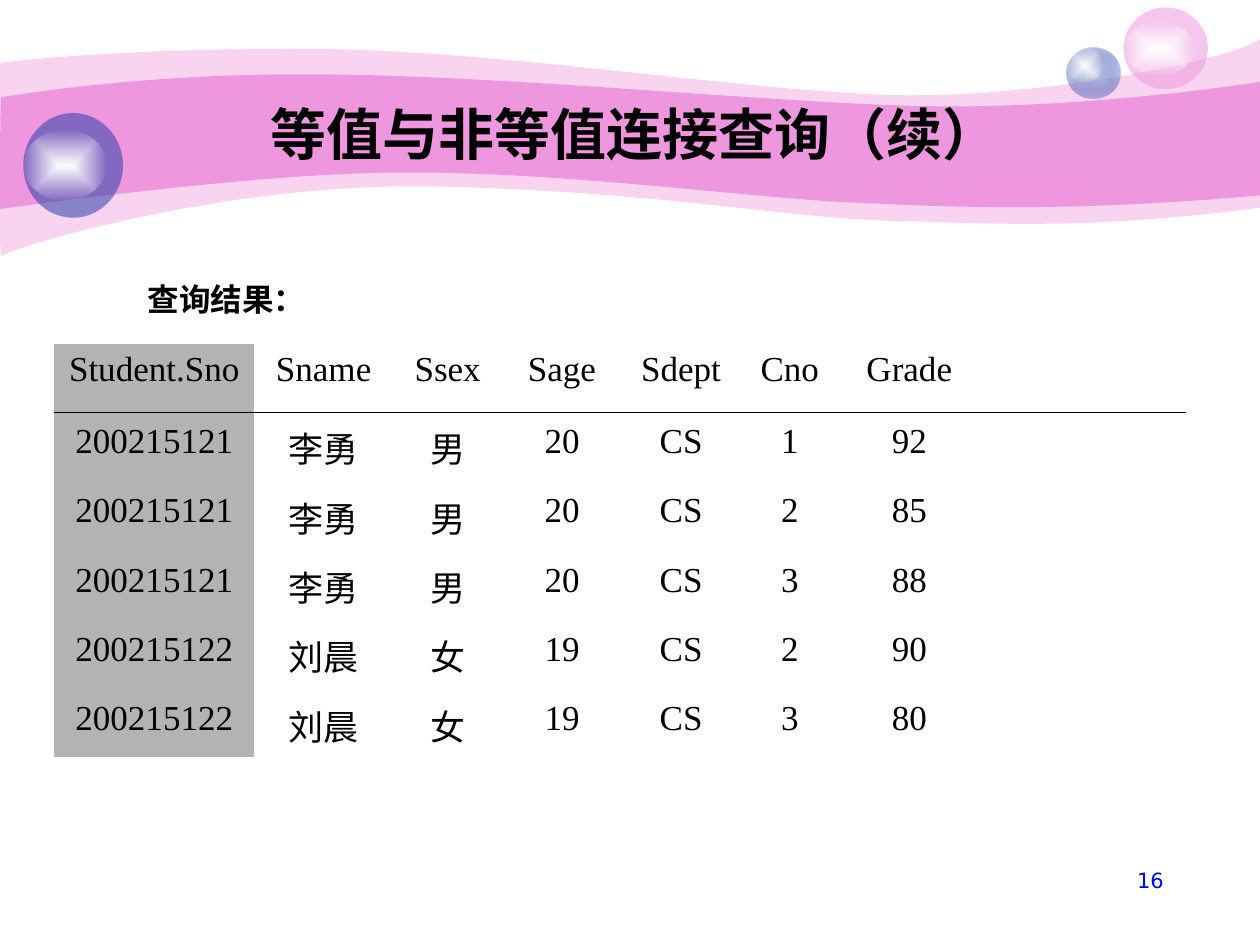
from dataclasses import dataclass

from lxml import etree
from pptx import Presentation
from pptx import util as u
from pptx.dml.color import RGBColor
from pptx.enum import shapes, text
from pptx.oxml import ns


@dataclass(frozen=True)
class Theme:
    pink: str = "EF97DE"
    blue: str = "233DA9"
    pale_blue: str = "C7CEE9"
    white: str = "FFFFFF"
    black: str = "000000"
    grey: str = "B3B3B3"
    number: str = "0000FF"
    title_size: int = 32
    table_size: int = 20
    label_size: int = 18
    number_size: int = 12
    title_font: str = "Arial"
    body_font: str = "Times New Roman"
    number_font: str = "DejaVu Sans"


T = Theme()
NO_STYLE = "{2D5ABB26-0587-4C30-8999-92F81FD0307C}"

OUTER_WAVE = [
    [(0, 1.27)],
    [(0.61, 1.19), (2.72, 0.97), (6.27, 0.99)],
    [(9.8, 0.99), (14.61, 1.78), (17.75, 1.91)],
    [(20.88, 2.03), (24.89, 1.19), (25.4, 0.79)],
    [(25.4, 4.19)],
    [(21.79, 4.65), (19.99, 4.5), (17.91, 4.45)],
    [(15.8, 4.39), (13.08, 3.84), (8.71, 3.76)],
    [(4.37, 3.68), (0.1, 5.05), (0.03, 5.16)],
    [(-0.03, 5.28), (0, 1.9), (0, 1.27)],
]
INNER_WAVE = [
    [(0.03, 1.96)],
    [(0.05, 1.96), (2.79, 1.47), (6.3, 1.5)],
    [(9.8, 1.5), (15.11, 2.03), (18.24, 2.13)],
    [(21.36, 2.24), (24.79, 1.75), (25.4, 1.65)],
    [(25.4, 3.94)],
    [(21.67, 4.27), (19.43, 4.19), (17.32, 4.09)],
    [(15.21, 4.01), (11.35, 3.45), (8.05, 3.48)],
    [(5.16, 3.48), (-0.05, 4.22), (-0.03, 4.22)],
    [(0, 4.22), (0, 1.96), (0.03, 1.96)],
]

COLUMNS = [4.04, 2.79, 2.21, 2.4, 2.4, 1.98, 2.84]
ROWS = [1.45, 1.4, 1.4, 1.4, 1.4, 1.19]
RESULT = [
    ["Student.Sno", "Sname", "Ssex", "Sage", "Sdept", "Cno", "Grade"],
    ["200215121", "李勇", "男", "20", "CS", "1", "92"],
    ["200215121", "李勇", "男", "20", "CS", "2", "85"],
    ["200215121", "李勇", "男", "20", "CS", "3", "88"],
    ["200215122", "刘晨", "女", "19", "CS", "2", "90"],
    ["200215122", "刘晨", "女", "19", "CS", "3", "80"],
]


def cm(*values):
    return [u.Cm(v) for v in values]


def add_color(parent, color, opacity):
    clr = etree.SubElement(parent, ns.qn("a:srgbClr"), val=color)
    if opacity < 100:
        etree.SubElement(clr, ns.qn("a:alpha"), val=str(opacity * 1000))


def fill_solid(sp, color, opacity=100):
    sp.fill.solid()
    fill = sp._element.spPr.find(ns.qn("a:solidFill"))
    for child in list(fill):
        fill.remove(child)
    add_color(fill, color, opacity)


def fill_glow(sp, inner, outer, outer_opacity):
    sp.fill.gradient()
    fill = sp._element.spPr.find(ns.qn("a:gradFill"))
    for child in list(fill):
        fill.remove(child)
    stops = etree.SubElement(fill, ns.qn("a:gsLst"))
    for pos, color, opacity in [(0, inner, 100), (100, outer, outer_opacity)]:
        stop = etree.SubElement(stops, ns.qn("a:gs"), pos=str(pos * 1000))
        add_color(stop, color, opacity)
    shade = etree.SubElement(fill, ns.qn("a:path"))
    shade.set("path", "rect")
    etree.SubElement(shade, ns.qn("a:fillToRect"), l="50000", t="50000", r="50000", b="50000")


def curve_segments(sp, outline):
    lines = iter(list(sp._element.iter(ns.qn("a:lnTo"))))
    for part in outline[1:]:
        group = [next(lines) for _ in part]
        if len(group) == 3:
            curve = etree.Element(ns.qn("a:cubicBezTo"))
            group[0].addprevious(curve)
            for line in group:
                curve.append(line[0])
                line.getparent().remove(line)


def add_wave(s, outline, opacity):
    points = [cm(*point) for part in outline for point in part]
    builder = s.shapes.build_freeform(*points[0])
    builder.add_line_segments(points[1:], close=True)
    sp = builder.convert_to_shape()
    curve_segments(sp, outline)
    sp.shadow.inherit = False
    sp.line.fill.background()
    fill_solid(sp, T.pink, opacity)


def add_ellipse(group, *box):
    sp = group.shapes.add_shape(shapes.MSO_SHAPE.OVAL, *cm(*box))
    sp.shadow.inherit = False
    sp.line.fill.background()
    return sp


def add_ball(s, ball, highlight):
    group = s.shapes.add_group_shape()
    sp = add_ellipse(group, *ball)
    fill_glow(add_ellipse(group, *highlight), T.white, T.white, 0)
    return sp


def add_backdrop(s):
    add_wave(s, OUTER_WAVE, 41)
    add_wave(s, INNER_WAVE, 100)
    small = add_ball(s, (21.51, 0.97, 1.07, 1.02), (21.51, 0.97, 0.71, 0.69))
    fill_glow(small, T.pale_blue, T.blue, 31)
    pink = add_ball(s, (22.65, 0.15, 1.7, 1.65), (22.65, 0.43, 1.42, 1.09))
    fill_solid(pink, T.pink, 53)
    blue = add_ball(s, (0.47, 2.28, 2.01, 2.11), (0.47, 2.62, 1.68, 1.42))
    fill_solid(blue, T.blue, 53)


def write(tf, content, font, size, color=T.black, bold=False, align=text.PP_ALIGN.CENTER):
    tf.text = content
    p = tf.paragraphs[0]
    p.alignment = align
    p.font.name = font
    p.font.size = u.Pt(size)
    p.font.bold = bold
    p.font.color.rgb = RGBColor.from_string(color)


def add_title(s, content):
    title = s.shapes.title
    title.left, title.top, title.width, title.height = cm(2.54, 1.9, 20.52, 1.57)
    tf = title.text_frame
    tf.auto_size = text.MSO_AUTO_SIZE.NONE
    tf.vertical_anchor = text.MSO_ANCHOR.MIDDLE
    write(tf, content, T.title_font, T.title_size, bold=True)
    s.shapes._spTree.append(title._element)


def add_label(s, box, content, *style, wrap=True, **options):
    tf = s.shapes.add_textbox(*cm(*box)).text_frame
    tf.word_wrap = wrap
    write(tf, content, *style, **options)


def add_result_table(s, left, top):
    size = cm(sum(COLUMNS), sum(ROWS))
    table = s.shapes.add_table(len(ROWS), len(COLUMNS), *cm(left, top), *size).table
    table.first_row = table.horz_banding = False
    table._tbl.tblPr.find(ns.qn("a:tableStyleId")).text = NO_STYLE
    for column, width in zip(table.columns, COLUMNS):
        column.width = u.Cm(width)
    for row, height, values in zip(table.rows, ROWS, RESULT):
        row.height = u.Cm(height)
        for i, (cell, value) in enumerate(zip(row.cells, values)):
            write(cell.text_frame, value, T.body_font, T.table_size)
            if i == 0:
                cell.fill.solid()
                cell.fill.fore_color.rgb = RGBColor.from_string(T.grey)
            else:
                cell.fill.background()


def add_rule(s, x1, x2, y):
    line = s.shapes.add_connector(shapes.MSO_CONNECTOR.STRAIGHT, *cm(x1, y, x2, y))
    line.line.color.rgb = RGBColor.from_string(T.black)
    line.line.width = u.Pt(0.75)
    etree.SubElement(line._element.spPr, ns.qn("a:effectLst"))


def main():
    prs = Presentation()
    prs.slide_width, prs.slide_height = cm(25.4, 19.05)
    s = prs.slides.add_slide(prs.slide_layouts[5])
    add_backdrop(s)
    add_title(s, "等值与非等值连接查询（续）")
    add_result_table(s, 1.09, 6.93)
    add_label(s, (1.77, 5.53, 5.59, 1.02), "查询结果：", T.body_font, T.label_size, bold=True, wrap=False)
    add_rule(s, 1.09, 23.9, 8.32)
    add_label(s, (18.2, 17.36, 5.51, 1.32), "16", T.number_font, T.number_size, T.number,
              align=text.PP_ALIGN.RIGHT)
    prs.save("out.pptx")


if __name__ == "__main__":
    main()
